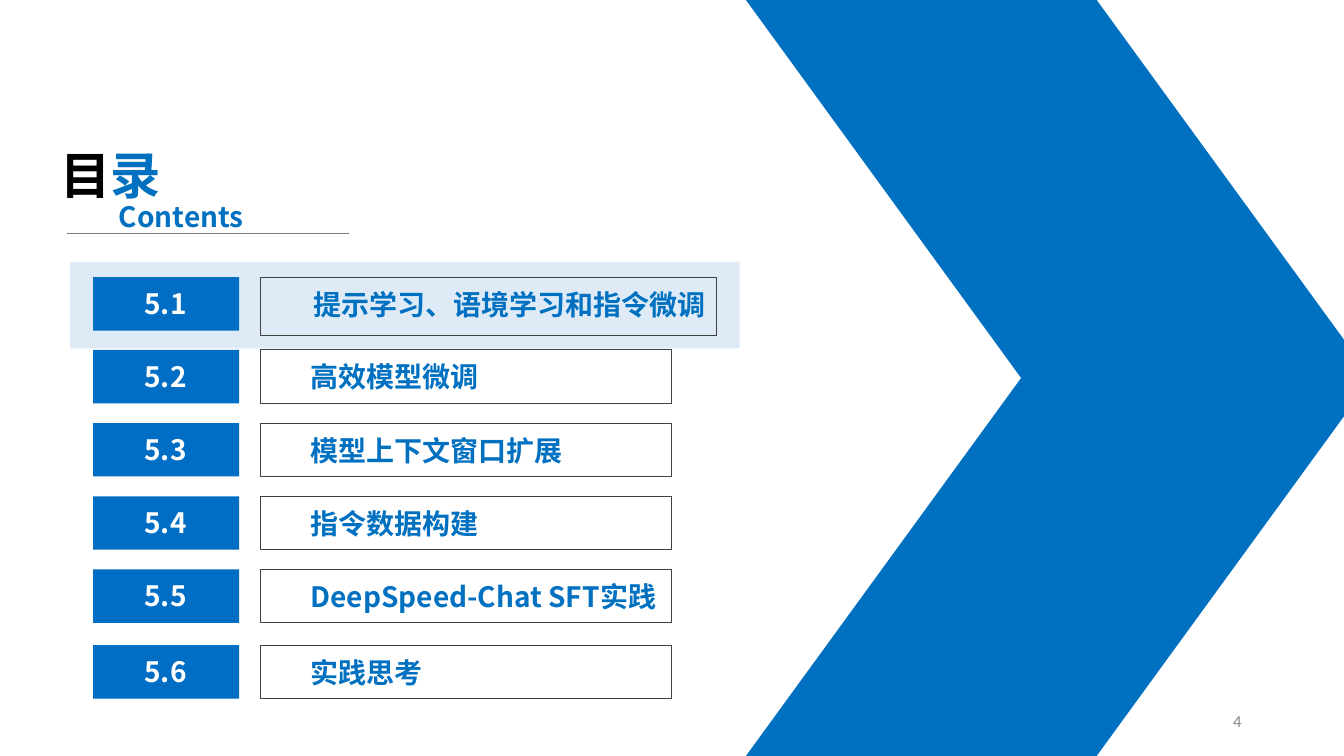
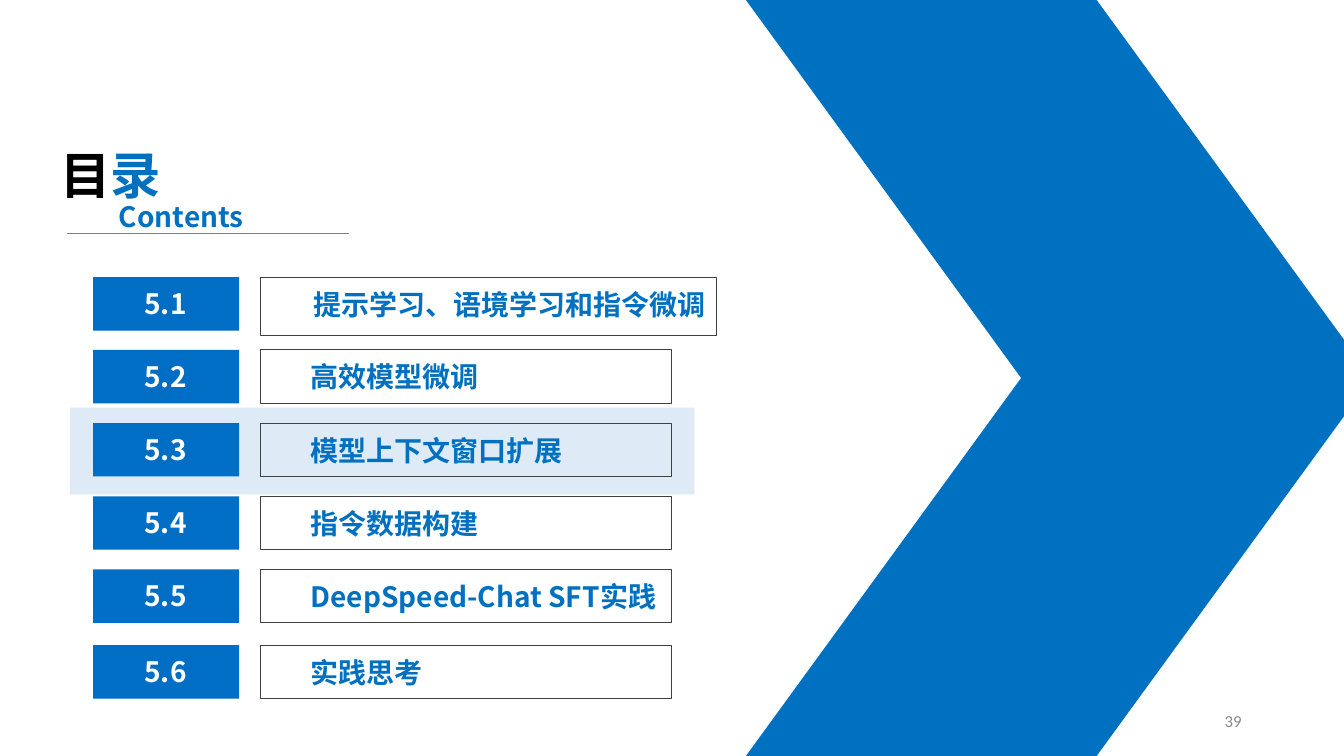
import pptx
import pptx.util
from pptx.dml.color import RGBColor
from pptx.enum.shapes import MSO_CONNECTOR, MSO_SHAPE
from pptx.enum.text import MSO_ANCHOR, PP_ALIGN
from pptx.oxml.ns import qn
from lxml import etree

Pt = pptx.util.Pt

COLORS = {
    "blue": "0070C0", "badge": "006EC5", "pale": "DEEBF7", "frame": "404040",
    "rule": "7F7F7F", "page": "898989", "black": "000000", "white": "FFFFFF",
}
CJK = "Noto Sans CJK SC"

# Number, title, row top, frame width, frame height, title left
ROWS = [
    ("5.1", "提示学习、语境学习和指令微调", 198, 326.2, 41.8, 216.7),
    ("5.2", "高效模型微调", 250, 293.8, 38.2, 214.8),
    ("5.3", "模型上下文窗口扩展", 302.2, 293.8, 38.2, 214.8),
    ("5.4", "指令数据构建", 354.5, 293.8, 38.2, 214.8),
    ("5.5", "DeepSpeed-Chat SFT实践", 406.8, 293.8, 38.2, 214.8),
    ("5.6", "实践思考", 460.8, 293.8, 38.2, 214.8),
]
FRAME_LEFT = 185.8


def rgb(name):
    return RGBColor.from_string(COLORS[name])


def add_run(p, text, size=20, color="blue", font=CJK, bold=True):
    r = p.add_run()
    r.text = text
    f = r.font
    f.size, f.bold, f.name = Pt(size), bold, font
    f.color.rgb = rgb(color)
    ea = etree.SubElement(r._r.get_or_add_rPr(), qn("a:ea"))
    ea.set("typeface", font)


class Deck:
    def __init__(self):
        self.prs = pptx.Presentation()
        self.prs.slide_width, self.prs.slide_height = Pt(960), Pt(540)
        self.s = None

    def new_slide(self):
        self.s = self.prs.slides.add_slide(self.prs.slide_layouts[6])

    def shape(self, kind, x, y, w, h, fill=None, line=None):
        sp = self.s.shapes.add_shape(kind, Pt(x), Pt(y), Pt(w), Pt(h))
        sp.shadow.inherit = False
        if fill:
            sp.fill.solid()
            sp.fill.fore_color.rgb = rgb(fill)
        else:
            sp.fill.background()
        if line:
            sp.line.color.rgb = rgb(line)
            sp.line.width = Pt(0.75)
        else:
            sp.line.fill.background()
        return sp

    def rect(self, x, y, w, h, **style):
        return self.shape(MSO_SHAPE.RECTANGLE, x, y, w, h, **style)

    def text(self, x, y, w, h, *runs, align=PP_ALIGN.LEFT, anchor=MSO_ANCHOR.TOP):
        """Each run is a (text, format) pair."""
        tf = self.s.shapes.add_textbox(Pt(x), Pt(y), Pt(w), Pt(h)).text_frame
        tf.word_wrap = True
        tf.vertical_anchor = anchor
        p = tf.paragraphs[0]
        p.alignment = align
        for text, fmt in runs:
            add_run(p, text, **fmt)

    def rule(self, x1, x2, y):
        ln = self.s.shapes.add_connector(
            MSO_CONNECTOR.STRAIGHT, Pt(x1), Pt(y), Pt(x2), Pt(y))
        ln.line.color.rgb = rgb("rule")
        ln.line.width = Pt(0.5)
        etree.SubElement(ln._element.spPr, qn("a:effectLst"))

    def chevron(self):
        for y, flip in ((270, "0"), (0, "1")):
            sp = self.shape(MSO_SHAPE.PARALLELOGRAM, 532.8, y, 447.1, 270, fill="blue")
            sp.adjustments[0] = 0.728
            sp._element.spPr.get_or_add_xfrm().set("flipV", flip)

    def heading(self):
        self.text(36, 99.4, 113, 51, ("目", {"size": 36, "color": "black"}),
                  ("录", {"size": 36}))
        self.rule(48, 249.1, 166.6)
        self.text(77.8, 139, 113, 31.7, ("Contents", {}))

    def highlight(self, row):
        _, _, y, w, _, _ = row
        self.rect(50, y - 11, FRAME_LEFT + w + 16.4 - 50, 61.9, fill="pale")

    def row(self, number, title, y, w, h, title_left):
        self.rect(FRAME_LEFT, y, w, h, line="frame")
        self.text(title_left, y + 3.6, 301, 31.7, (title, {}))
        self.rect(66.5, y, 104.4, 38.2, fill="badge")
        self.text(80.4, y + 3, 75.6, 31.7, (number, {"color": "white"}),
                  align=PP_ALIGN.CENTER)

    def page_number(self, number):
        fmt = {"size": 12, "color": "page", "font": "Calibri", "bold": False}
        self.text(678, 500.4, 216, 28.8, (str(number), fmt),
                  align=PP_ALIGN.RIGHT, anchor=MSO_ANCHOR.MIDDLE)

    def contents(self, current, page):
        self.new_slide()
        self.highlight(ROWS[current])
        self.chevron()
        self.heading()
        for row in ROWS:
            self.row(*row)
        self.page_number(page)


def main():
    deck = Deck()
    # Contents, section 5.1 current
    deck.contents(current=0, page=4)
    # Contents, section 5.3 current
    deck.contents(current=2, page=39)
    deck.prs.save("out.pptx")


if __name__ == "__main__":
    main()
